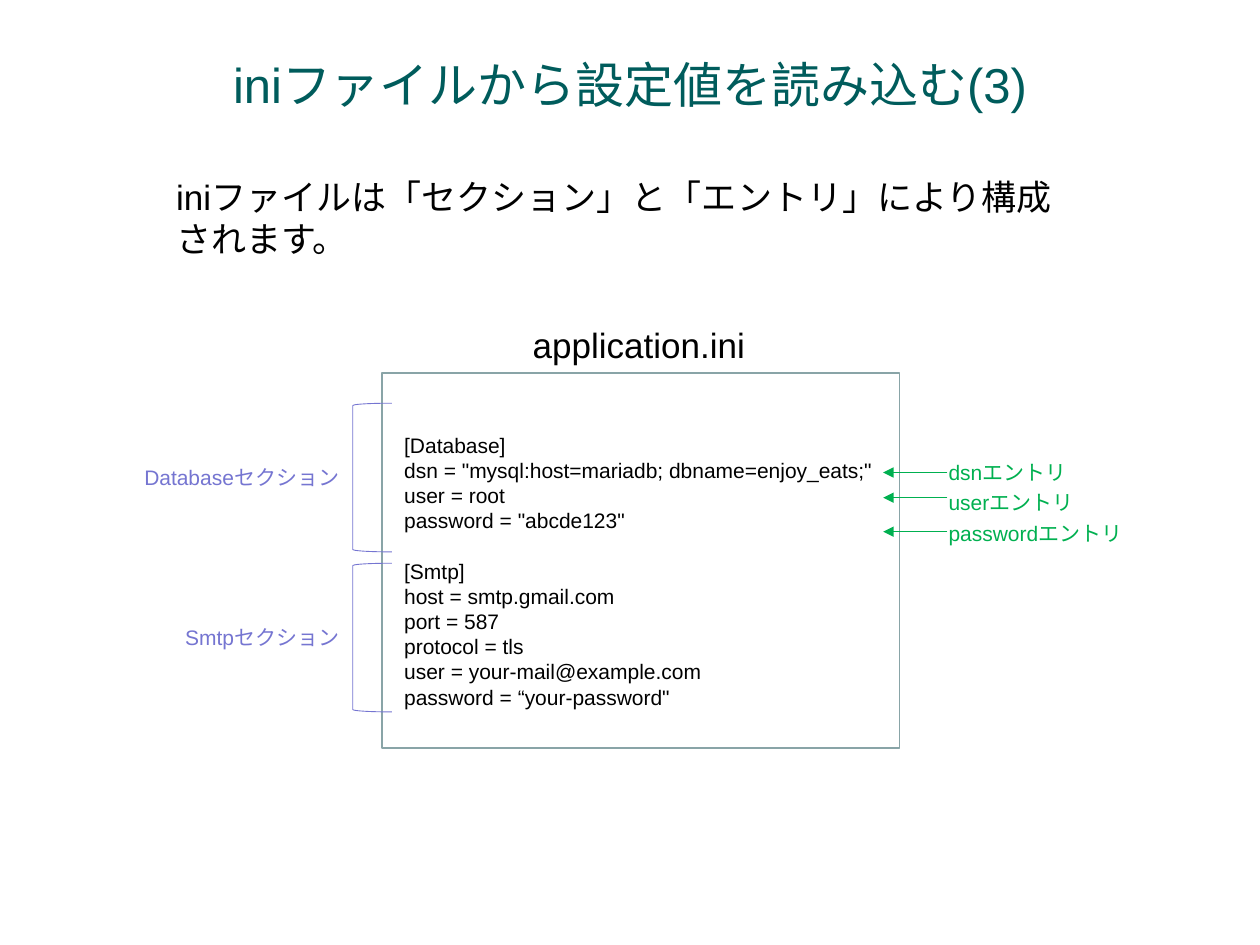
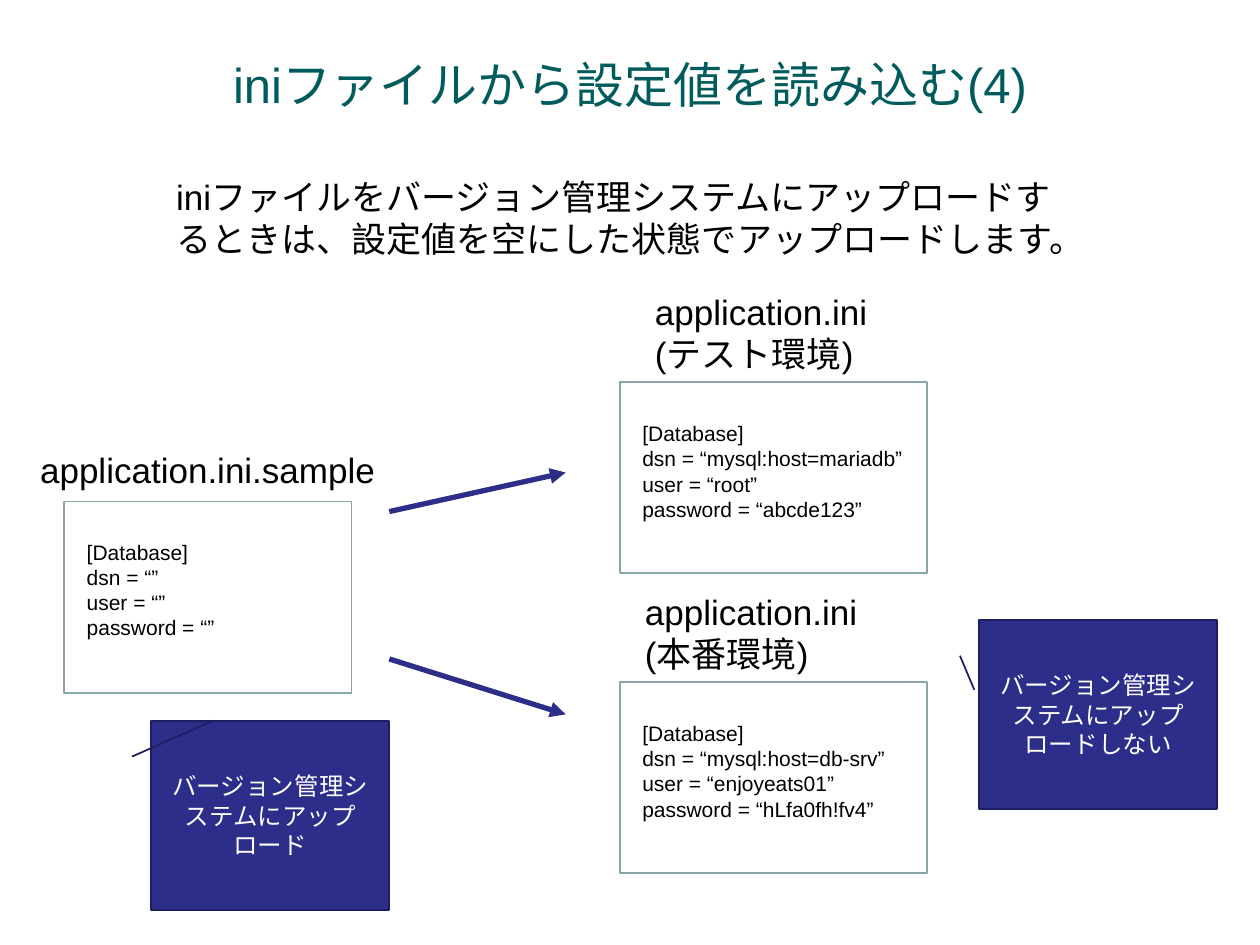
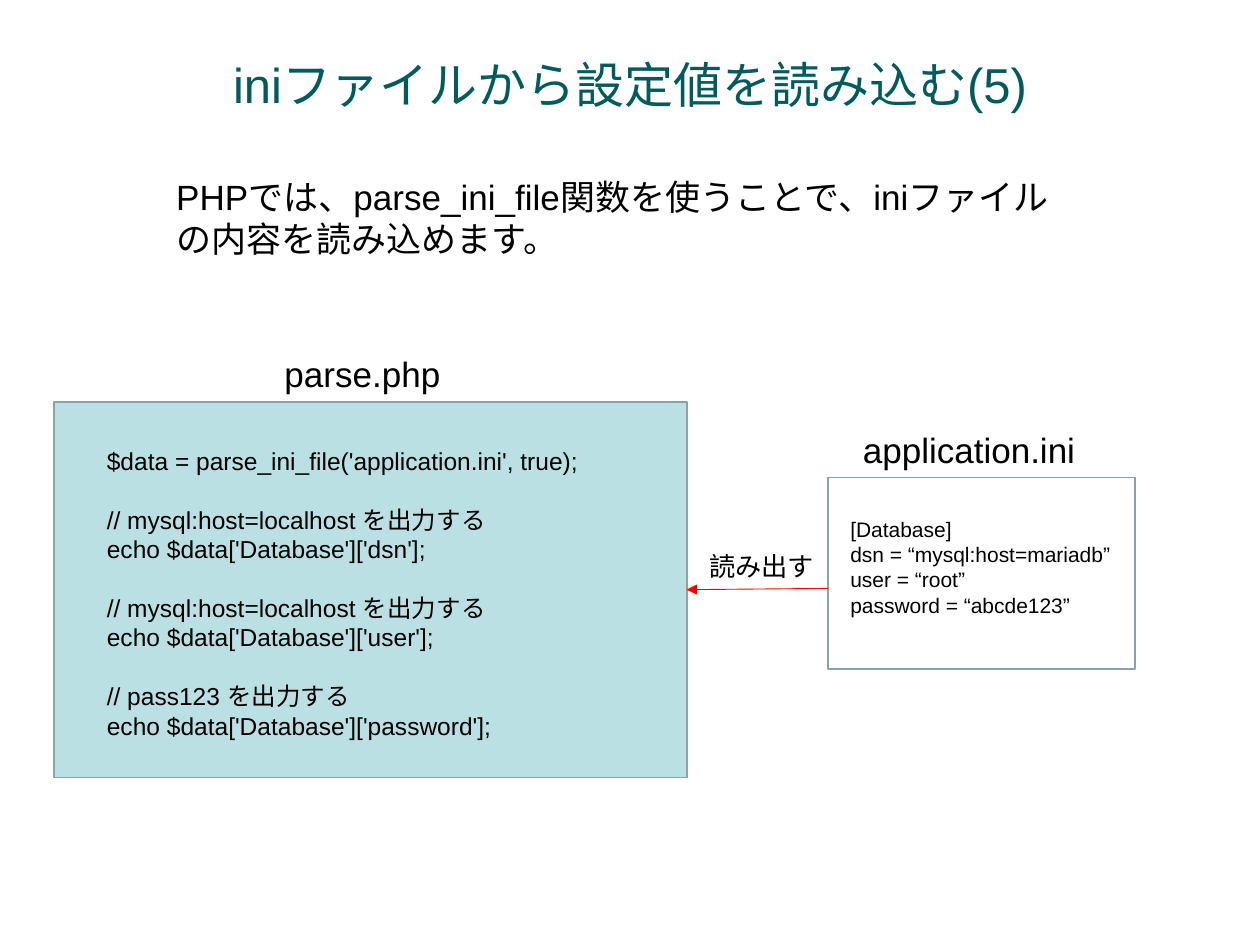
from lxml.etree import SubElement
from pptx import Presentation
from pptx.dml.color import RGBColor
from pptx.enum.shapes import MSO_CONNECTOR, MSO_SHAPE
from pptx.enum.text import MSO_ANCHOR as ANCHOR, MSO_AUTO_SIZE, PP_ALIGN as ALIGN
from pptx.oxml.ns import qn
from pptx.util import Pt

PX = 9144
FONT = "Arial"
LEADING = 1.2
TITLE_LAYOUT = 5
COLORS = {
    "title": "005C5C",
    "text": "000000",
    "frame": "89A4A7",
    "code": "BBE0E3",
    "section": "7575D1",
    "entry": "00B050",
    "navy": "2D2D8A",
    "navy_line": "1E1E64",
    "white": "FFFFFF",
    "read": "FF0000",
}
TEST_INI = ["[Database]", "dsn = “mysql:host=mariadb”", "user = “root”",
            "password = “abcde123”"]


def color(name):
    return RGBColor.from_string(COLORS[name])


def emu(*lengths):
    return [n * PX for n in lengths]


def write(tf, lines, size, ink="text", align=ALIGN.LEFT, anchor=ANCHOR.TOP):
    tf.word_wrap = True
    tf.auto_size = MSO_AUTO_SIZE.NONE
    tf.vertical_anchor = anchor
    p, gap = tf.paragraphs[0], False
    for i, line in enumerate(lines):
        if not line:
            gap = True
            continue
        if i:
            p = tf.add_paragraph()
        p.alignment = align
        p.line_spacing = Pt(size * LEADING)
        if gap:
            p.space_before = Pt(size * LEADING)
            gap = False
        r = p.add_run()
        r.text = line
        r.font.name = FONT
        r.font.size = Pt(size)
        r.font.color.rgb = color(ink)


def add_text(sl, box, lines, size, ink="text", align=ALIGN.LEFT):
    sp = sl.shapes.add_textbox(*emu(*box))
    write(sp.text_frame, lines, size, ink, align)


def add_shape(sl, kind, box, line, width=1, fill=None):
    sp = sl.shapes.add_shape(kind, *emu(*box))
    sp.shadow.inherit = False
    if fill:
        sp.fill.solid()
        sp.fill.fore_color.rgb = color(fill)
    else:
        sp.fill.background()
    sp.line.color.rgb = color(line)
    sp.line.width = Pt(width)
    return sp


def add_arrow(sl, start, end, ink, width=0.5):
    cx = sl.shapes.add_connector(MSO_CONNECTOR.STRAIGHT, *emu(*start, *end))
    cx.line.color.rgb = color(ink)
    cx.line.width = Pt(width)
    SubElement(cx.line._get_or_add_ln(), qn("a:tailEnd"), type="triangle")
    SubElement(cx._element.spPr, qn("a:effectLst"))


def add_slide(prs, number, body, body_lines=2):
    sl = prs.slides.add_slide(prs.slide_layouts[TITLE_LAYOUT])
    title = sl.shapes.title
    title.left, title.top, title.width, title.height = emu(75, 25, 850, 83)
    write(title.text_frame, [f"iniファイルから設定値を読み込む({number})"], 28,
          "title", ALIGN.CENTER, ANCHOR.MIDDLE)
    add_text(sl, (130, 134, 724, 11 + 33 * body_lines), [body], 20)
    return sl


def file_box(sl, box, label, label_dx, lines, label_w=226, label_gap=0,
             code=(8, 26, 236, 110), size=12, fill=None):
    x, y, w, h = box
    dx, dy, code_w, code_h = code
    add_shape(sl, MSO_SHAPE.RECTANGLE, box, "frame", fill=fill)
    label_h = 11 + 33 * len(label)
    add_text(sl, (x + label_dx, y - label_gap - label_h, label_w, label_h), label, 20)
    add_text(sl, (x + dx, y + dy, code_w, code_h), lines, size)


def section(sl, box, name):
    x, y, w, h = box
    label_w, label_h = 182, 30
    sp = add_shape(sl, MSO_SHAPE.LEFT_BRACKET, box, "section", 0.5)
    sp.adjustments[0] = 0.06
    add_text(sl, (x - 1 - label_w, y + (h - label_h) // 2, label_w, label_h),
             [f"{name}セクション"], 12, "section", ALIGN.RIGHT)


def entries(sl, x, y, rows):
    for i, (name, arrow_y) in enumerate(rows):
        add_arrow(sl, (x + 51, arrow_y), (x, arrow_y), "entry")
        add_text(sl, (x + 42, y + 24 * i, 182, 30), [f"{name}エントリ"], 12, "entry")


def callout(sl, x, y, text, tip):
    sp = add_shape(sl, MSO_SHAPE.LINE_CALLOUT_1, (x, y, 189, 150), "navy_line",
                   fill="navy")
    for i, value in enumerate((0.19, -0.08, *tip)):
        sp.adjustments[i] = value
    write(sp.text_frame, [text], 14, "white", ALIGN.CENTER, ANCHOR.MIDDLE)


def structure_slide(prs):
    sl = add_slide(prs, 3, "iniファイルは「セクション」と「エントリ」により構成されます。")
    file_box(sl, (303, 296, 411, 298), ["application.ini"], 110, [
        "[Database]",
        'dsn = "mysql:host=mariadb; dbname=enjoy_eats;"',
        "user = root",
        'password = "abcde123"',
        "",
        "[Smtp]",
        "host = smtp.gmail.com",
        "port = 587",
        "protocol = tls",
        "user = your-mail@example.com",
        'password = “your-password"',
    ], label_w=287, code=(8, 42, 404, 230))
    for i, name in enumerate(("Database", "Smtp")):
        section(sl, (280, 320 + 127 * i, 31, 118), name)
    entries(sl, 701, 360, [("dsn", 375), ("user", 395), ("password", 422)])


def upload_slide(prs):
    sl = add_slide(prs, 4, "iniファイルをバージョン管理システムにアップロードするときは、"
                   "設定値を空にした状態でアップロードします。", 3)
    file_box(sl, (51, 398, 228, 152), ["application.ini.sample"], -29,
             ["[Database]", "dsn = “”", "user = “”", "password = “”"],
             label_w=287, label_gap=3, code=(8, 25, 236, 110))
    for start_y, end_y in ((406, 375), (523, 567)):
        add_arrow(sl, (309, start_y), (449, end_y), "navy", 3)
    file_box(sl, (492, 303, 244, 152), ["application.ini", "(テスト環境)"], 18, TEST_INI)
    file_box(sl, (492, 541, 244, 152), ["application.ini", "(本番環境)"], 10,
             ["[Database]", "dsn = “mysql:host=db-srv”", "user = “enjoyeats01”",
              "password = “hLfa0fh!fv4”"])
    callout(sl, 120, 572, "バージョン管理システムにアップロード", (0, 0.26))
    callout(sl, 777, 492, "バージョン管理システムにアップロードしない", (0.37, -0.02))


def parse_slide(prs):
    sl = add_slide(prs, 5, "PHPでは、parse_ini_file関数を使うことで、"
                   "iniファイルの内容を読み込めます。")
    file_box(sl, (657, 379, 244, 152), ["application.ini"], 18, TEST_INI)
    file_box(sl, (43, 319, 502, 298), ["parse.php"], 173, [
        "$data = parse_ini_file('application.ini', true);",
        "",
        "// mysql:host=localhost を出力する",
        "echo $data['Database']['dsn'];",
        "",
        "// mysql:host=localhost を出力する",
        "echo $data['Database']['user'];",
        "",
        "// pass123 を出力する",
        "echo $data['Database']['password'];",
    ], label_w=150, code=(32, 30, 433, 290), size=14, fill="code")
    add_arrow(sl, (657, 467), (545, 468), "read")
    add_text(sl, (553, 432, 125, 35), ["読み出す"], 15)


def main():
    prs = Presentation()
    prs.slide_width, prs.slide_height = emu(1000, 750)
    structure_slide(prs)
    upload_slide(prs)
    parse_slide(prs)
    prs.save("out.pptx")


if __name__ == "__main__":
    main()
